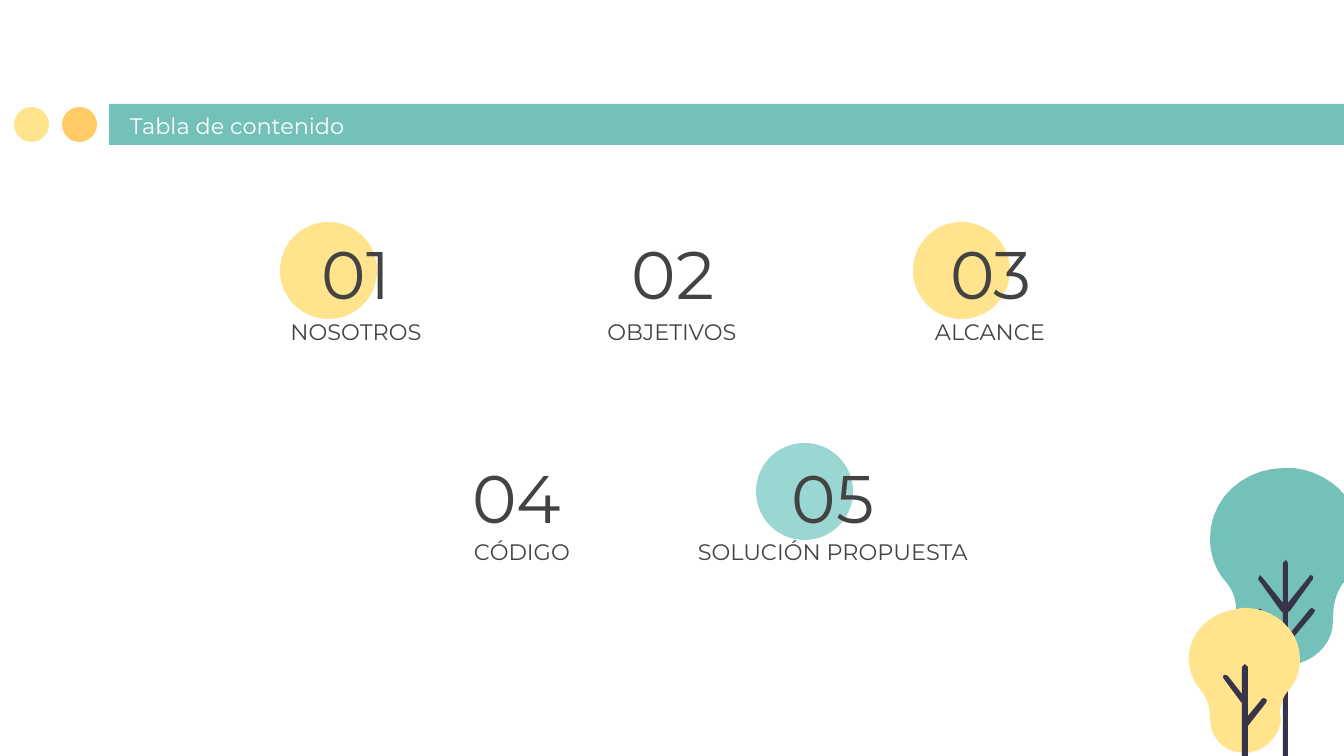
"""Build a table-of-contents slide with five numbered topics and two trees."""
from pptx import Presentation
from pptx.dml.color import RGBColor
from pptx.enum.shapes import MSO_SHAPE
from pptx.enum.text import MSO_ANCHOR, PP_ALIGN
from pptx.util import Pt

RECTANGLE, OVAL = MSO_SHAPE.RECTANGLE, MSO_SHAPE.OVAL
MIDDLE, BOTTOM = MSO_ANCHOR.MIDDLE, MSO_ANCHOR.BOTTOM
LEFT, CENTER = PP_ALIGN.LEFT, PP_ALIGN.CENTER

TEAL = RGBColor(0x74, 0xC1, 0xB9)
LIGHT_TEAL = RGBColor(0x9A, 0xD7, 0xD2)
YELLOW = RGBColor(0xFF, 0xE4, 0x8D)
ORANGE = RGBColor(0xFF, 0xCB, 0x64)
GRAY = RGBColor(0x43, 0x43, 0x43)
NAVY = RGBColor(0x37, 0x34, 0x49)
WHITE = RGBColor(0xFF, 0xFF, 0xFF)

FONT = "Montserrat"
SCALE = 914400 / 134.4
CURVE_STEPS = 10
CIRCLE_SIZE, DOT_SIZE = 97, 35
NUMBER_WIDTH, LABEL_WIDTH, TEXT_HEIGHT = 258, 352, 85

TITLE = "Tabla de contenido"
DOTS = [(62, ORANGE), (14, YELLOW)]

# Each row: circle top, number top, label top, topics.
# Each topic: label, number centre, label centre, circle left and colour.
ROWS = [
    (222, 230, 273, [
        ("NOSOTROS", 356, 356, (280, YELLOW)),
        ("OBJETIVOS", 673, 672, None),
        ("ALCANCE", 991, 990, (913, YELLOW)),
    ]),
    (443, 454, 493, [
        ("CÓDIGO", 517, 522, None),
        ("SOLUCIÓN PROPUESTA", 833, 833, (756, LIGHT_TEAL)),
    ]),
]

# An outline step of two numbers is a line; one of six is a cubic curve.
TREES = [
    (TEAL, [
        (1285, 468), (1243, 468, 1210, 499, 1210, 538),
        (1210, 554, 1215, 570, 1226, 582), (1234, 591, 1237, 603, 1236, 616),
        (1236, 622), (1236, 646, 1259, 665, 1285, 665),
        (1312, 665, 1333, 645, 1333, 621), (1333, 618),
        (1333, 603, 1337, 590, 1345, 581), (1357, 566, 1363, 547, 1360, 530),
        (1356, 497, 1328, 472, 1294, 468),
    ]),
    (NAVY, [
        (1286, 560), (1283, 563), (1283, 603), (1262, 577), (1260, 575),
        (1258, 579), (1281, 611), (1283, 613), (1283, 636), (1261, 609),
        (1259, 609), (1257, 613), (1283, 644), (1283, 785), (1286, 788),
        (1288, 785), (1288, 644), (1314, 613), (1315, 610), (1312, 608),
        (1310, 609), (1288, 636), (1288, 612), (1290, 611), (1313, 579),
        (1313, 576), (1310, 575), (1309, 577), (1288, 603), (1288, 563),
    ]),
    (YELLOW, [
        (1245, 608), (1242, 608, 1240, 608, 1238, 609),
        (1212, 612, 1192, 630, 1189, 653), (1188, 667, 1192, 680, 1200, 689),
        (1207, 698, 1210, 707, 1210, 718), (1210, 738, 1224, 753, 1245, 753),
        (1263, 753, 1279, 738, 1281, 720), (1280, 715),
        (1280, 707, 1282, 698, 1288, 691), (1296, 683, 1300, 671, 1300, 659),
        (1300, 630, 1274, 608, 1245, 608),
    ]),
    (NAVY, [
        (1245, 664), (1242, 667), (1242, 694), (1228, 676), (1226, 675),
        (1224, 675), (1223, 677), (1224, 679), (1241, 702), (1242, 703),
        (1242, 797), (1245, 800), (1248, 797), (1248, 726), (1266, 703),
        (1267, 700), (1264, 698), (1262, 699), (1248, 716), (1248, 667),
    ]),
]


def emu(*pixels):
    return [round(value * SCALE) for value in pixels]


def paint(shape, color):
    shape.fill.solid()
    shape.fill.fore_color.rgb = color
    shape.line.fill.background()
    shape.shadow.inherit = False


def add_plain(page, kind, left, top, width, height, color):
    paint(page.shapes.add_shape(kind, *emu(left, top, width, height)), color)


def add_text(page, text, left, top, width, height, size, color, anchor, align):
    box = page.shapes.add_textbox(*emu(left, top, width, height))
    frame = box.text_frame
    frame.word_wrap = True
    frame.vertical_anchor = anchor
    frame.margin_left = frame.margin_right = emu(13)[0]
    frame.margin_top = frame.margin_bottom = emu(13)[0]
    paragraph = frame.paragraphs[0]
    paragraph.text = text
    paragraph.alignment = align
    paragraph.font.name = FONT
    paragraph.font.size = Pt(size)
    paragraph.font.color.rgb = color


def cubic(start, first, second, end, t):
    u = 1 - t
    return u**3 * start + 3 * u * u * t * first + 3 * u * t * t * second + t**3 * end


def add_outline(page, steps, color):
    points = [steps[0]]
    for step in steps[1:]:
        if len(step) == 2:
            points.append(step)
            continue
        x, y = points[-1]
        for index in range(1, CURVE_STEPS + 1):
            t = index / CURVE_STEPS
            points.append((cubic(x, *step[0::2], t), cubic(y, *step[1::2], t)))
    builder = page.shapes.build_freeform(*emu(*points[0]))
    builder.add_line_segments([emu(*point) for point in points[1:]], close=True)
    paint(builder.convert_to_shape(), color)


deck = Presentation()
deck.slide_width, deck.slide_height = emu(1344, 756)
page = deck.slides.add_slide(deck.slide_layouts[6])

add_plain(page, RECTANGLE, 109, 104, 1277, 41, TEAL)
for left, color in DOTS:
    add_plain(page, OVAL, left, 107, DOT_SIZE, DOT_SIZE, color)
add_text(page, TITLE, 117, 106, 737, 46, 12, WHITE, BOTTOM, LEFT)

number = 0
for circle_top, number_top, label_top, topics in ROWS:
    for label, number_center, label_center, circle in topics:
        number += 1
        if circle:
            left, color = circle
            add_plain(page, OVAL, left, circle_top, CIRCLE_SIZE, CIRCLE_SIZE, color)
        add_text(page, f"{number:02}", number_center - NUMBER_WIDTH / 2, number_top,
                 NUMBER_WIDTH, TEXT_HEIGHT, 36, GRAY, MIDDLE, CENTER)
        add_text(page, label, label_center - LABEL_WIDTH / 2, label_top,
                 LABEL_WIDTH, TEXT_HEIGHT, 12, GRAY, BOTTOM, CENTER)

for color, steps in TREES:
    add_outline(page, steps, color)

deck.save("out.pptx")
